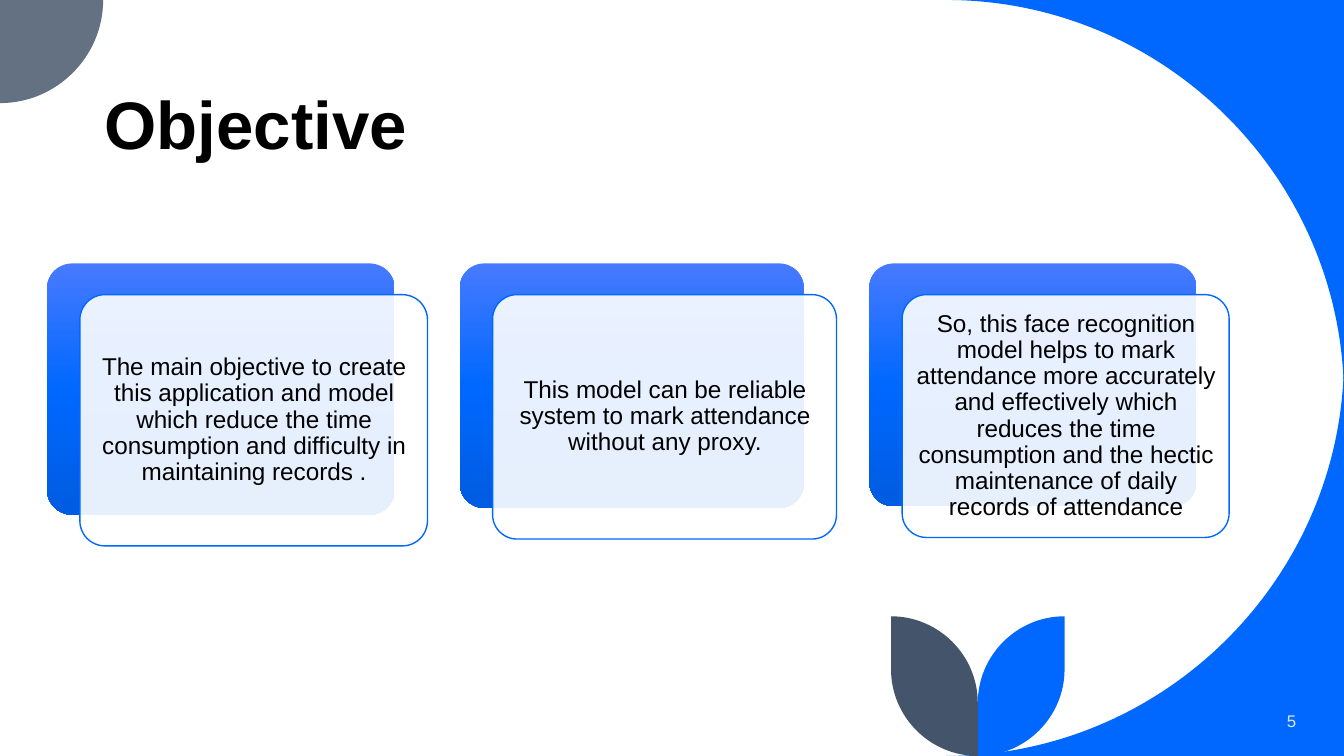
"""Build the Objective slide with three layered cards."""
from copy import deepcopy

from lxml.etree import SubElement
from pptx import Presentation
from pptx.dml.color import RGBColor
from pptx.enum.shapes import MSO_SHAPE as Shape
from pptx.enum.text import MSO_ANCHOR as Anchor, MSO_AUTO_SIZE as AutoSize, PP_ALIGN as Align
from pptx.oxml.ns import qn
from pptx.util import Cm, Pt

BLUE = "0068FF"
SLATE = "44546A"
CARD_TOP = 4.98
OFFSET_X, OFFSET_Y = 0.62, 0.59
CURVE = 0.55
LEAF_AXIS = 18.48


def paint(fill, colour):
    fill.solid()
    fill.fore_color.rgb = RGBColor.from_string(colour)


def write(frame, wording, size, colour, align, anchor, margin, spacing, bold=None):
    frame.text = wording
    frame.word_wrap = True
    frame.auto_size = AutoSize.NONE
    frame.vertical_anchor = anchor
    frame.margin_left = frame.margin_right = frame.margin_top = frame.margin_bottom = Cm(margin)
    paragraph = frame.paragraphs[0]
    paragraph.alignment = align
    paragraph.line_spacing = spacing
    paragraph.font.name, paragraph.font.size, paragraph.font.bold = "Arial", Pt(size), bold
    paragraph.font.color.rgb = RGBColor.from_string(colour)


prs = Presentation()
prs.slide_width, prs.slide_height = Cm(25.4), Cm(14.29)
slide = prs.slides.add_slide(prs.slide_layouts[5])
shapes = slide.shapes

left_leaf = [[(16.84, 11.65)], [(16.84, 12.65)], [(16.84, 14.29), (18.48, 14.29)],
             [(18.48, 13.29)], [(18.48, 11.65), (16.84, 11.65)]]
right_leaf = [[(2 * LEAF_AXIS - x, y) for x, y in step] for step in left_leaf]
decorations = [
    ([[(25.4, 0)], [(17.88, 0)], [(25.4, 0), (25.4, 7.52)]], BLUE),
    ([[(25.4, 6.77)], [(25.4, 14.29), (17.88, 14.29)], [(25.4, 14.29)]], BLUE),
    ([[(0, 0)], [(1.95, 0)], [(1.95, 1.95), (0, 1.95)]], "637183"),
    (right_leaf, BLUE),
    (left_leaf, SLATE),
]
for steps, colour in decorations:
    points = [steps[0][0]]
    for step in steps[1:]:
        if len(step) == 2:
            corner, end = step
            points += [tuple(a + CURVE * (c - a) for a, c in zip(anchor, corner))
                       for anchor in (points[-1], end)]
        points.append(step[-1])
    points = [(Cm(x), Cm(y)) for x, y in points]
    builder = shapes.build_freeform(*points[0])
    builder.add_line_segments(points[1:], close=True)
    decoration = builder.convert_to_shape()
    decoration.shadow.inherit = False
    paint(decoration.fill, colour)
    decoration.line.fill.background()

    segments = iter(list(decoration.element.spPr.iter(qn("a:lnTo"))))
    for step in steps[1:]:
        segment = next(segments)
        if len(step) == 2:
            segment.tag = qn("a:cubicBezTo")
            for _ in range(2):
                follower = next(segments)
                segment.append(follower[0])
                follower.getparent().remove(follower)

title = shapes.title
title.left, title.top, title.width, title.height = Cm(1.88), Cm(0.43), Cm(20.37), Cm(2.77)
write(title.text_frame, "Objective", 36, "000000", Align.LEFT, Anchor.BOTTOM, 0.1, 0.9, True)
page_number = shapes.add_textbox(Cm(24.22), Cm(13.34), Cm(0.38), Cm(0.56))
write(page_number.text_frame, "5", 9, "DAE5EF", Align.RIGHT, Anchor.MIDDLE, 0.1, 1.0)

objectives = [
    (0.89, 6.57, 4.75, 2.69, "The main objective to create this application and model which "
     "reduce the time consumption and difficulty in maintaining records ."),
    (8.69, 6.5, 4.62, 1.75, "This model can be reliable system to mark attendance "
     "without any proxy."),
    (16.43, 6.18, 4.59, 4.14, "So, this face recognition model helps to mark attendance more "
     "accurately and effectively which reduces the time consumption and the hectic maintenance "
     "of daily records of attendance"),
]
for left, width, height, text_height, objective in objectives:
    front_left, front_top = left + OFFSET_X, CARD_TOP + OFFSET_Y
    back = shapes.add_shape(Shape.ROUNDED_RECTANGLE, Cm(left), Cm(CARD_TOP), Cm(width), Cm(height))
    front = shapes.add_shape(Shape.ROUNDED_RECTANGLE, Cm(front_left), Cm(front_top),
                             Cm(width), Cm(height))
    for card in (back, front):
        card.adjustments[0] = 0.1
        card.shadow.inherit = False

    back.line.fill.background()
    back.fill.gradient()
    back.fill.gradient_angle = 270
    stop_list = next(back.element.spPr.iter(qn("a:gsLst")))
    stop_list.insert(1, deepcopy(stop_list[0]))
    gradient = [(0, "477AFF"), (0.5, BLUE), (1, "005CE1")]
    for stop, (position, colour) in zip(back.fill.gradient_stops, gradient):
        stop.position = position
        stop.color.rgb = RGBColor.from_string(colour)

    paint(front.fill, "FFFFFF")
    white = next(front.element.spPr.iter(qn("a:srgbClr")))
    SubElement(white, qn("a:alpha"), val="90000")
    paint(front.line.fill, BLUE)
    front.line.width = Pt(0.75)

    caption = shapes.add_textbox(Cm(front_left + 0.14), Cm(front_top + (height - text_height) / 2),
                                 Cm(width - 0.27), Cm(text_height))
    write(caption.text_frame, objective, 13, "000000", Align.CENTER, Anchor.MIDDLE, 0.13, 0.9)

prs.save("out.pptx")
